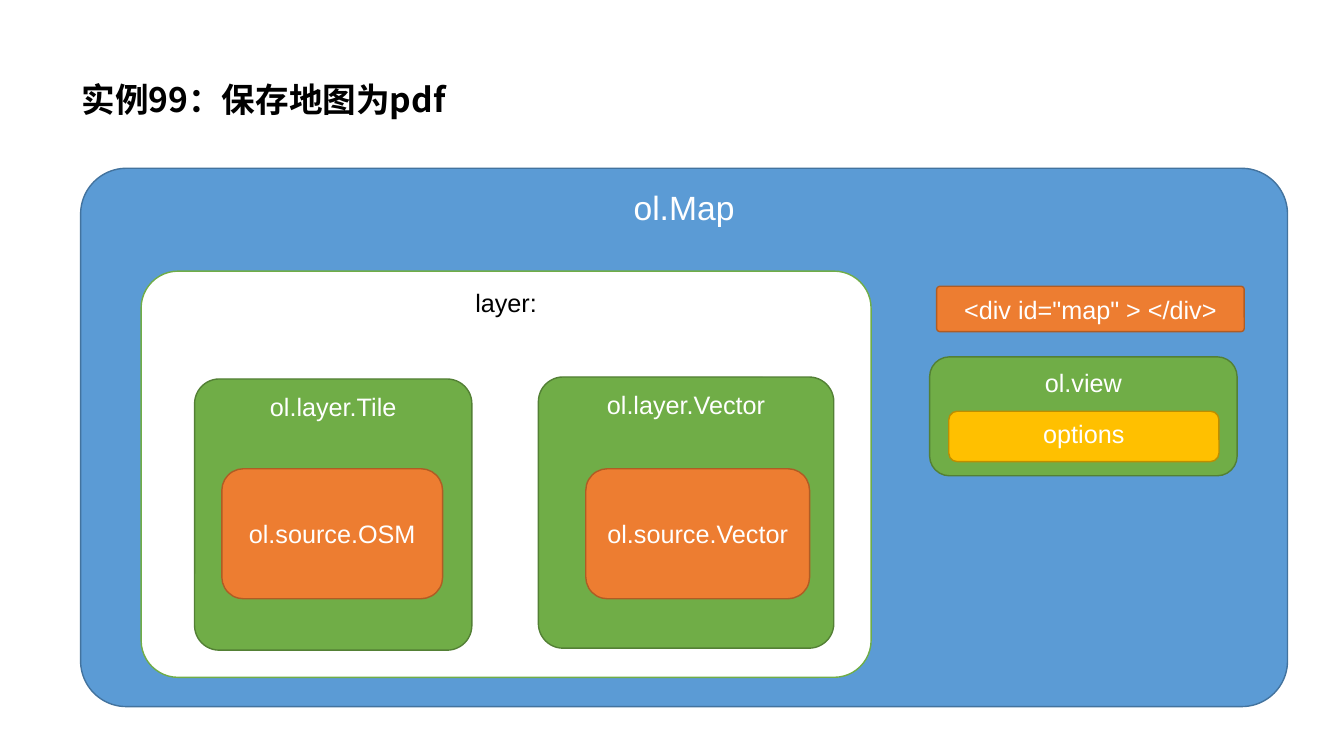
from lxml import etree
from pptx import Presentation
from pptx import util as u
from pptx.dml.color import RGBColor
from pptx.enum import shapes, text
from pptx.oxml import ns

BLACK = RGBColor(0x00, 0x00, 0x00)
WHITE = RGBColor(0xFF, 0xFF, 0xFF)
BLUE = RGBColor(0x5B, 0x9B, 0xD5)
NAVY = RGBColor(0x43, 0x73, 0x9E)
GREEN = RGBColor(0x70, 0xAD, 0x47)
MOSS = RGBColor(0x53, 0x80, 0x35)
ORANGE = RGBColor(0xED, 0x7D, 0x31)
RUST = RGBColor(0xAF, 0x5C, 0x24)
GOLD = RGBColor(0xFF, 0xC0, 0x00)
OCHRE = RGBColor(0xBD, 0x8E, 0x00)
TOP = text.MSO_ANCHOR.TOP
MID = text.MSO_ANCHOR.MIDDLE
CELL = u.Inches(0.1)

deck = Presentation()
deck.slide_width = u.Inches(13.33)
deck.slide_height = u.Inches(7.5)
slide = deck.slides.add_slide(deck.slide_layouts[6])


def grid(*units):
    return [round(n * CELL) for n in units]


def write(frame, words, size, face, color, anchor):
    frame.word_wrap = True
    frame.vertical_anchor = anchor
    para = frame.paragraphs[0]
    run = para.add_run()
    run.text = words
    run.font.size = u.Pt(size)
    run.font.name = face
    run.font.color.rgb = color
    return para, run


title = slide.shapes.add_textbox(*grid(7.1, 2.8, 115, 14.5))
para, run = write(title.text_frame, "实例99：保存地图为pdf", 24, "Noto Sans CJK SC", BLACK, MID)
para.line_spacing = 0.9
run.font.bold = True
east = etree.SubElement(run.font._element, ns.qn("a:ea"))
east.set("typeface", "Noto Sans CJK SC")

boxes = [
    ("ol.Map", (8, 16.7, 119.7, 53.4), 0.085, BLUE, NAVY, WHITE, 24, TOP),
    ('<div id="map" > </div>', (92.9, 28.4, 30.5, 4.5), 0.07, ORANGE, RUST, WHITE, 18, MID),
    ("ol.view", (92.2, 35.4, 30.5, 11.8), 0.167, GREEN, MOSS, WHITE, 18, TOP),
    ("options", (94.1, 40.8, 26.8, 5), 0.167, GOLD, OCHRE, WHITE, 18, TOP),
    ("layer:", (14, 26.9, 72.4, 40.3), 0.091, WHITE, GREEN, BLACK, 18, TOP),
    ("ol.layer.Tile", (19.3, 37.6, 27.5, 26.9), 0.091, GREEN, MOSS, WHITE, 18, TOP),
    ("ol.source.OSM", (22, 46.5, 21.9, 12.9), 0.167, ORANGE, RUST, WHITE, 18, MID),
    ("ol.layer.Vector", (53.4, 37.4, 29.3, 26.9), 0.091, GREEN, MOSS, WHITE, 18, TOP),
    ("ol.source.Vector", (58.1, 46.5, 22.2, 12.9), 0.167, ORANGE, RUST, WHITE, 18, MID),
]
for words, place, curve, fill, edge, ink, size, anchor in boxes:
    box = slide.shapes.add_shape(shapes.MSO_SHAPE.ROUNDED_RECTANGLE, *grid(*place))
    box.adjustments[0] = curve
    box.shadow.inherit = False
    box.fill.solid()
    box.fill.fore_color.rgb = fill
    box.line.color.rgb = edge
    box.line.width = u.Pt(1)
    para, run = write(box.text_frame, words, size, "Arial", ink, anchor)
    para.alignment = text.PP_ALIGN.CENTER

deck.save("out.pptx")
